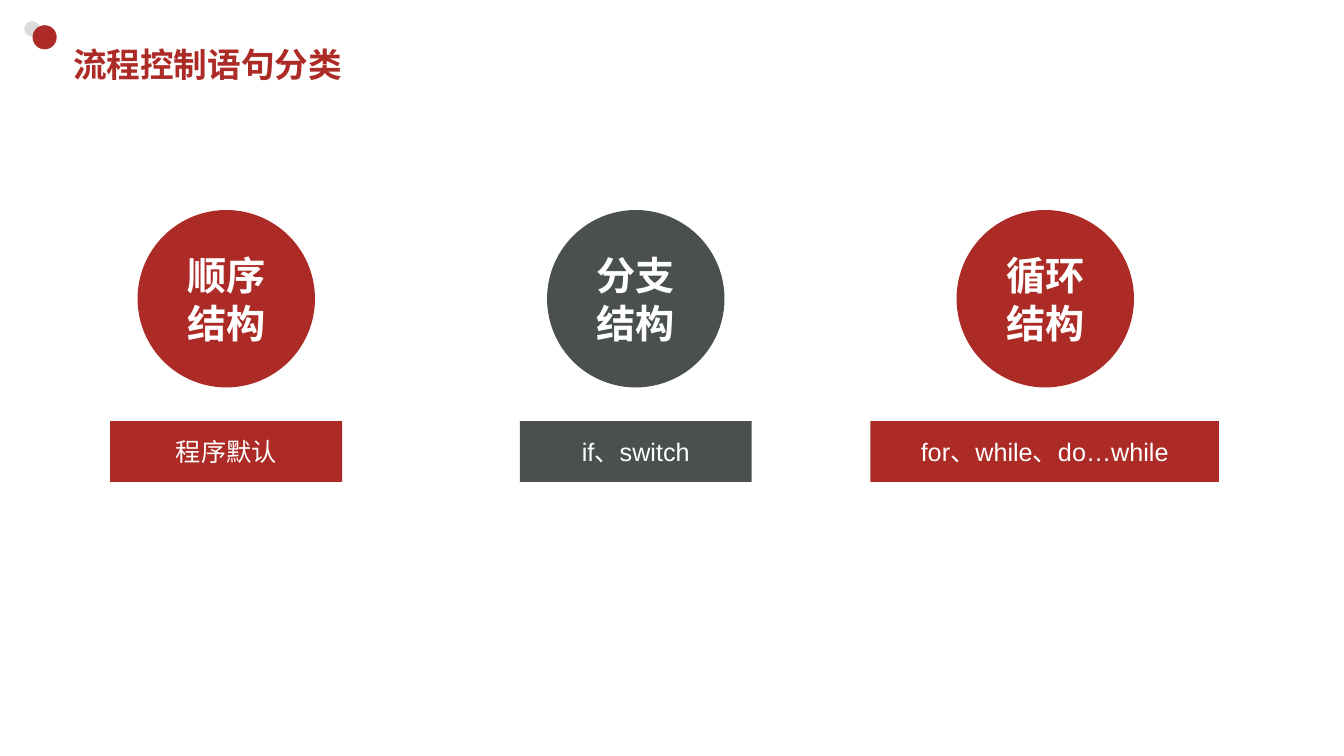
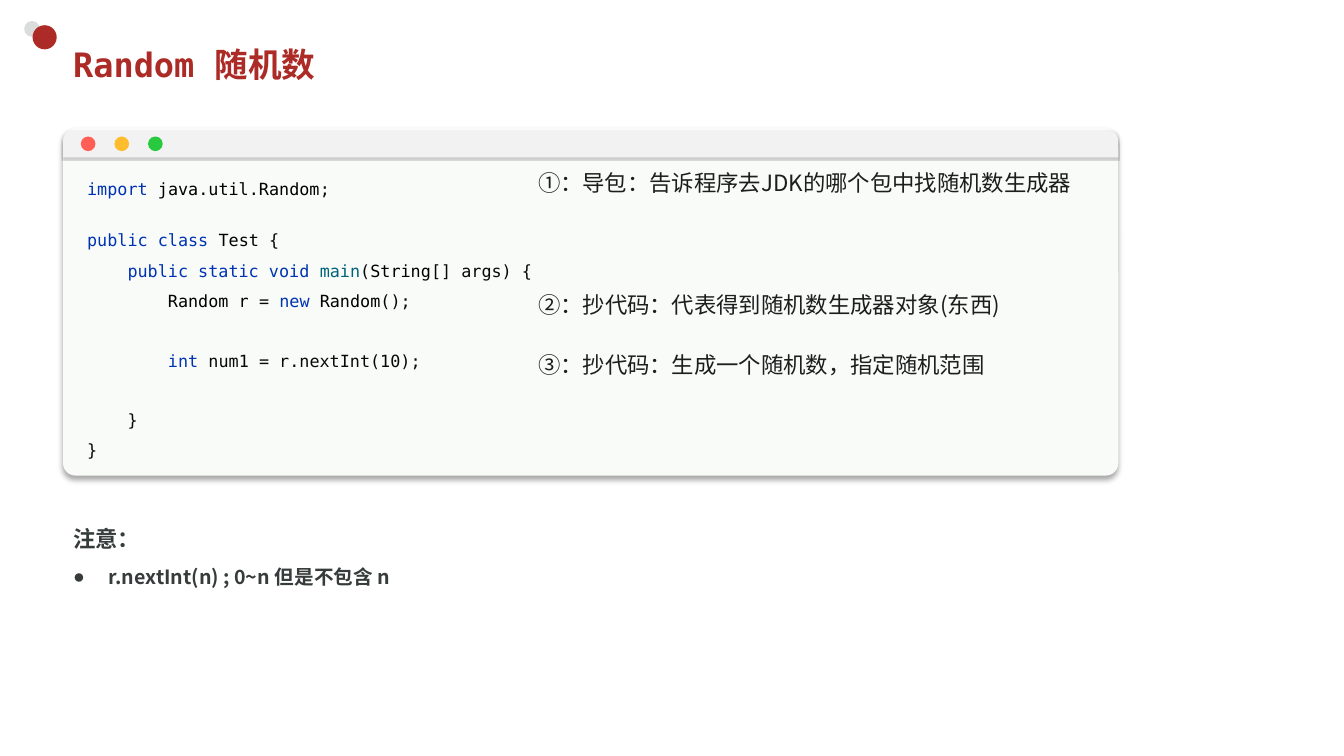
import dataclasses

import pptx
import pptx.dml.color
import pptx.enum.shapes
import pptx.enum.text
import pptx.oxml.ns
import pptx.oxml.xmlchemy
import pptx.util
from lxml import etree

SHAPE = pptx.enum.shapes.MSO_SHAPE
ALIGN = pptx.enum.text.PP_ALIGN
ANCHOR = pptx.enum.text.MSO_ANCHOR
AUTO = pptx.enum.text.MSO_AUTO_SIZE
Pt = pptx.util.Pt
qn = pptx.oxml.ns.qn


@dataclasses.dataclass(frozen=True)
class Theme:
    # Colours
    red: str = "AD2B26"
    slate: str = "49504F"
    pale: str = "DADDDC"
    white: str = "FFFFFF"
    ink: str = "1B1E1D"
    list_ink: str = "363C3B"
    card: str = "F9FBF9"
    bar: str = "F2F2F2"
    buttons: tuple = ("FF5F56", "FFBD2E", "27C93F")
    keyword: str = "0033B3"
    method: str = "00627A"
    name: str = "000000"
    sign: str = "080808"
    # Fonts
    sans: str = "Arial"
    mono: str = "DejaVu Sans Mono"
    cjk: str = "Noto Sans CJK JP"
    # Type sizes in points
    title: int = 24
    circle: int = 28
    label: int = 18
    note: int = 16
    item: int = 14
    code: int = 12


T = Theme()

KINDS = {
    "SEQUENCE": ("顺序结构", "程序默认", T.red, 221),
    "BRANCH": ("分支结构", "if、switch", T.slate, 221),
    "LOOP": ("循环结构", "for、while、do…while", T.red, 332),
}

# Each code line: points of space before, then (text, colour) tokens
CODE = [
    (0, [("import ", T.keyword), ("java.util.Random", T.name), (";", T.sign)]),
    (15, [("public class ", T.keyword), ("Test ", T.name), ("{", T.sign)]),
    (0, [("    public static void ", T.keyword), ("main", T.method), ("(", T.sign),
         ("String", T.name), ("[] args) {", T.sign)]),
    (0, [("        Random r ", T.name), ("= ", T.sign), ("new ", T.keyword),
         ("Random", T.name), ("();", T.sign)]),
    (21, [("        int", T.keyword), (" num1 = r.nextInt(10);", T.sign)]),
    (21, [("    }", T.sign)]),
    (0, [("}", T.sign)]),
]

# Top, width and text of each remark
NOTES = [
    (157, 567, "①：导包：告诉程序去JDK的哪个包中找随机数生成器"),
    (273, 470, "②：抄代码：代表得到随机数生成器对象(东西)"),
    (330, 470, "③：抄代码：生成一个随机数，指定随机范围"),
]


# Basic helpers
def px(n):
    return pptx.util.Emu(n * 9525)


def rgb(value):
    return pptx.dml.color.RGBColor.from_string(value)


def place(sp, x, y, w, h):
    sp.left, sp.top, sp.width, sp.height = px(x), px(y), px(w), px(h)


def style_run(r, size, color, font, bold=False):
    r.font.size = Pt(size)
    r.font.bold = bold
    r.font.color.rgb = rgb(color)
    r.font.name = font
    ea = etree.SubElement(r._r.get_or_add_rPr(), qn("a:ea"))
    ea.set("typeface", T.cjk)


def style_paragraph(p, size, color, font, bold=False, align=ALIGN.LEFT, spacing=None):
    p.alignment = align
    p.space_before = Pt(0)
    if spacing:
        p.line_spacing = Pt(spacing)
    for r in p.runs:
        style_run(r, size, color, font, bold)


def add_shape(slide, kind, x, y, w, h, color):
    sp = slide.shapes.add_shape(kind, px(x), px(y), px(w), px(h))
    sp.fill.solid()
    sp.fill.fore_color.rgb = rgb(color)
    sp.line.fill.background()
    sp.shadow.inherit = False
    return sp


def add_shadow(sp, alpha, blur, distance):
    effects = sp.element.spPr.find(qn("a:effectLst"))
    shadow = etree.SubElement(effects, qn("a:outerShdw"), blurRad=str(Pt(blur)),
                              dist=str(Pt(distance)), dir="5400000",
                              algn="t", rotWithShape="0")
    color = etree.SubElement(shadow, qn("a:srgbClr"), val="000000")
    etree.SubElement(color, qn("a:alpha"), val=str(alpha * 1000))


def add_textbox(slide, x, y, w, h):
    sp = slide.shapes.add_textbox(px(x), px(y), px(w), px(h))
    sp.text_frame.word_wrap = True
    return sp.text_frame


def set_bullet(p, char=None, indent=0):
    pPr = p._p.get_or_add_pPr()
    pPr.set("marL", str(px(indent)))
    pPr.set("indent", str(px(-indent)))
    if char:
        etree.SubElement(pPr, qn("a:buFont"), typeface=T.sans)
        etree.SubElement(pPr, qn("a:buChar"), char=char)
    else:
        etree.SubElement(pPr, qn("a:buNone"))


# Shared parts
def decorate_master(prs, slide):
    master = prs.slide_master
    title = next(ph for ph in master.placeholders if ph.placeholder_format.idx == 0)
    place(title, 60, 36, 1127, 50)
    dots = [(23, 20, 15, T.pale), (31, 24, 23, T.red)]
    for number, (x, y, d, color) in enumerate(dots, 20):
        sp = add_shape(slide, SHAPE.OVAL, x, y, d, d, color)
        sp.element.nvSpPr.cNvPr.set("id", str(number))
        master.shapes.element.append(sp.element)


def set_title(slide, text):
    tf = slide.shapes.title.text_frame
    tf.text = text
    tf.auto_size = AUTO.NONE
    tf.vertical_anchor = ANCHOR.MIDDLE
    style_paragraph(tf.paragraphs[0], T.title, T.red, T.mono, True)


# Content elements
def add_filled_label(slide, kind, box, color, text, size, bold=False, spacing=None):
    sp = add_shape(slide, kind, *box, color)
    tf = sp.text_frame
    tf.text = text
    tf.word_wrap = True
    tf.vertical_anchor = ANCHOR.MIDDLE
    style_paragraph(tf.paragraphs[0], size, T.white, T.sans, bold, ALIGN.CENTER, spacing)
    return tf


def add_structure(slide, center, name, keywords, color, width):
    d = 169
    add_filled_label(slide, SHAPE.OVAL, (center - d // 2, 200, d, d), color,
                     name, T.circle, True, 34)
    tf = add_filled_label(slide, SHAPE.RECTANGLE, (center - width // 2, 401, width, 58),
                          color, keywords, T.label)
    tf.margin_left = tf.margin_right = 0


def add_window(slide, x, y, w, h):
    card = add_shape(slide, SHAPE.ROUNDED_RECTANGLE, x, y, w, h, T.card)
    card.adjustments[0] = 0.036
    add_shadow(card, 34, 4, 3)
    bar = add_shape(slide, SHAPE.ROUND_2_SAME_RECTANGLE, x, y + 2, w, 26, T.bar)
    bar.adjustments[0] = 0.4
    add_shadow(bar, 20, 1, 1)
    for i, color in enumerate(T.buttons):
        add_shape(slide, SHAPE.OVAL, x + 17 + 32 * i, y + 8, 14, 14, color)


def add_code(slide, lines, x, y, w, h):
    tf = add_textbox(slide, x, y, w, h)
    tf.margin_left = tf.margin_right = px(23)
    for i, (gap, tokens) in enumerate(lines):
        p = tf.paragraphs[0] if i == 0 else tf.add_paragraph()
        p.line_spacing = 1.5
        if gap:
            p.space_before = Pt(gap)
        for text, color in tokens:
            r = p.add_run()
            r.text = text
            style_run(r, T.code, color, T.mono)


def add_note(slide, y, w, text):
    tf = add_textbox(slide, 503, y, w, 36)
    tf.text = text
    style_paragraph(tf.paragraphs[0], T.note, T.ink, T.cjk, spacing=19)


def set_list(slide, heading, item):
    body = slide.placeholders[1]
    place(body, 60, 484, 542, 80)
    tf = body.text_frame
    tf.auto_size = AUTO.NONE
    tf.text = heading
    p = tf.paragraphs[0]
    set_bullet(p)
    style_paragraph(p, T.note, T.list_ink, T.cjk, True, spacing=28)
    p = tf.add_paragraph()
    p.text = item
    set_bullet(p, "●", 34)
    style_paragraph(p, T.item, T.list_ink, T.cjk, True, spacing=26)


# Slides
def build_structures(slide):
    set_title(slide, "流程控制语句分类")
    for i, kind in enumerate(KINDS.values()):
        add_structure(slide, 215 + 390 * i, *kind)


def build_random(slide):
    set_title(slide, "Random 随机数")
    add_window(slide, 60, 122, 1005, 331)
    add_code(slide, CODE, 60, 156, 912, 298)
    for note in NOTES:
        add_note(slide, *note)
    set_list(slide, "注意：", "r.nextInt(n) ; 0~n 但是不包含 n")


def main():
    prs = pptx.Presentation()
    prs.slide_width, prs.slide_height = px(1280), px(720)
    structures = prs.slides.add_slide(prs.slide_layouts[5])
    decorate_master(prs, structures)
    build_structures(structures)
    build_random(prs.slides.add_slide(prs.slide_layouts[1]))
    prs.save("out.pptx")


if __name__ == "__main__":
    main()
